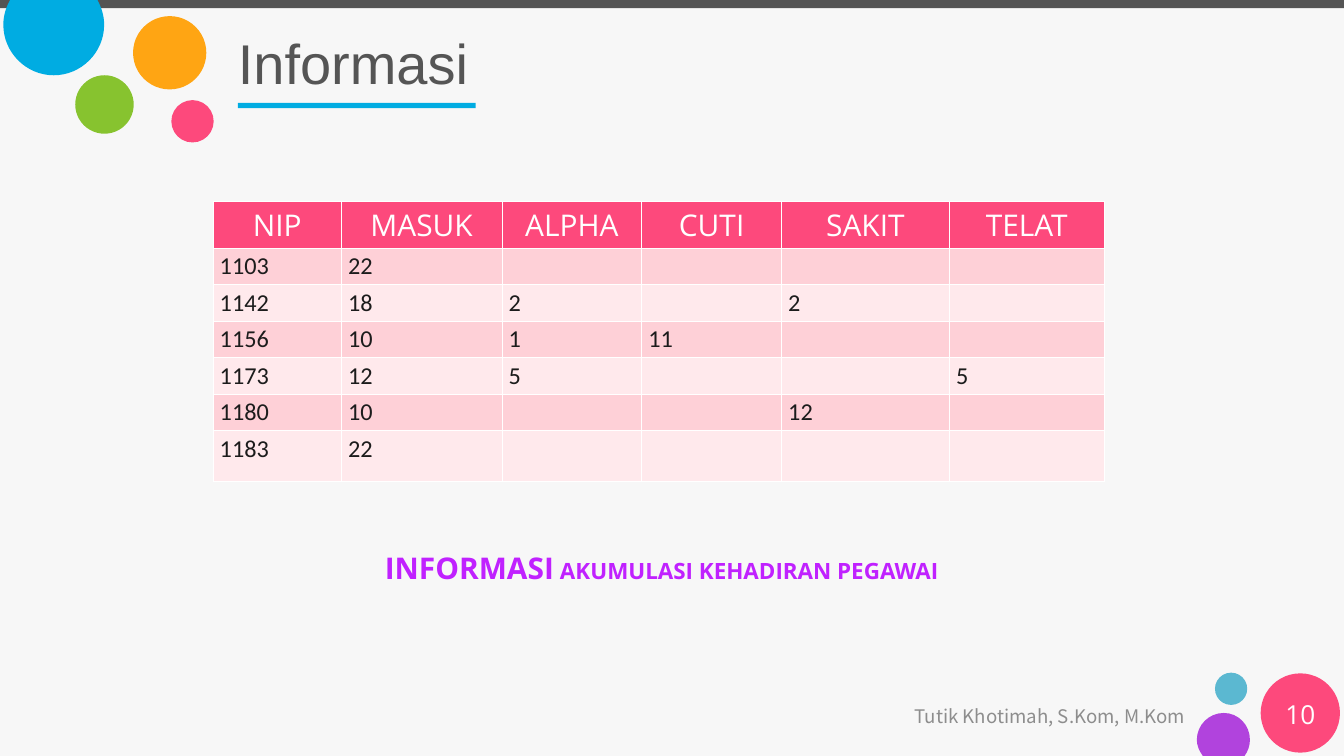
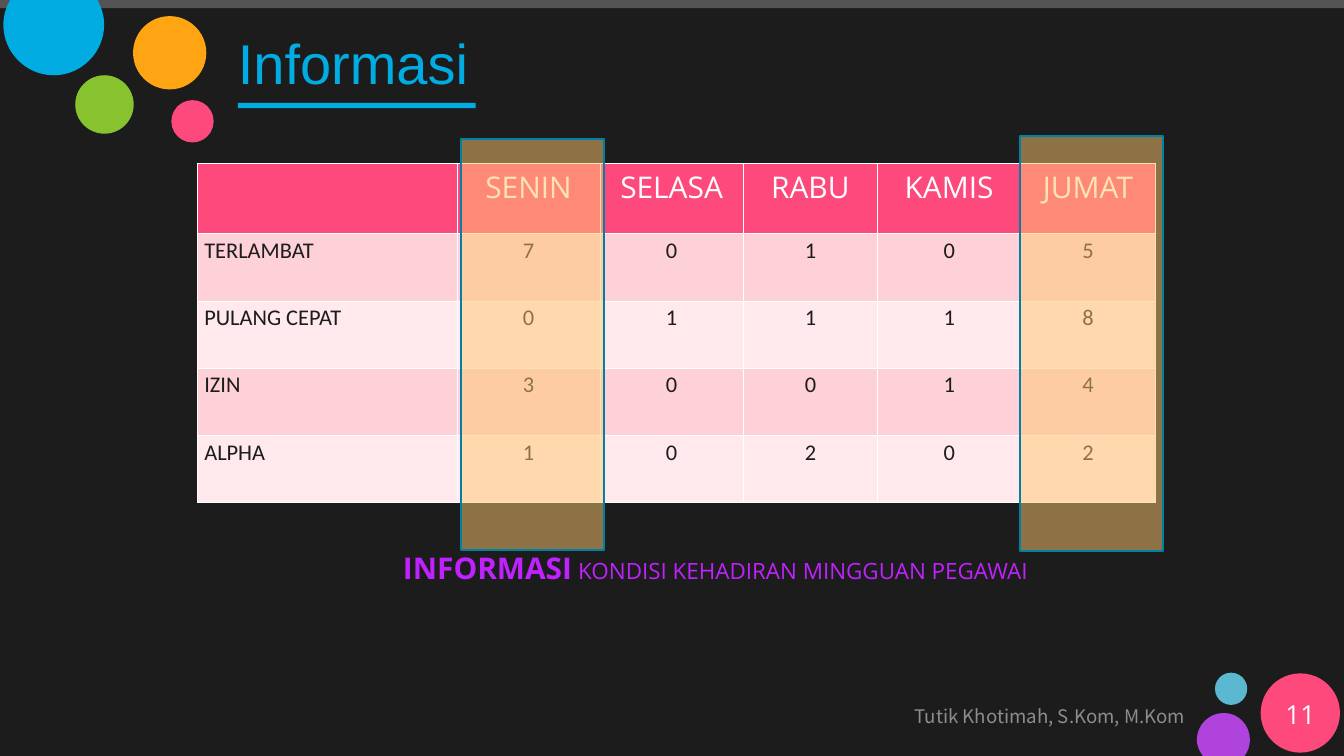
from dataclasses import dataclass
from itertools import chain

from lxml.etree import SubElement
from pptx import Presentation
from pptx.dml.color import RGBColor
from pptx.enum.shapes import MSO_SHAPE as SHAPE
from pptx.enum.text import MSO_ANCHOR as ANCHOR, MSO_AUTO_SIZE as AUTO, PP_ALIGN as ALIGN
from pptx.oxml.ns import qn
from pptx.util import Inches, Pt


@dataclass(frozen=True)
class Theme:
    """Colours, fonts and type sizes of the deck."""
    width: float = 20
    height: float = 11.25
    light: str = "F7F7F7"
    dark: str = "1C1C1C"
    bar: str = "545454"
    title_gray: str = "555555"
    footer_gray: str = "8D8D8D"
    blue: str = "00ACE2"
    pink: str = "FD497C"
    green: str = "87C32F"
    orange: str = "FFA513"
    teal: str = "5BB8D1"
    violet: str = "B143DD"
    purple: str = "C021FF"
    white: str = "FFFFFF"
    bands: tuple = ("FED0D7", "FFE9EC")
    mark: str = "FFC971"
    mark_line: str = "007FA7"
    title_font: str = "Arial"
    head_font: str = "Open Sans"
    cell_font: str = "Calibri"
    footer_font: str = "Noto Sans CJK KR"
    title_size: int = 60
    head_size: int = 32
    number_size: int = 28
    caption_size: int = 24
    footer_size: int = 20


T = Theme()

TOP_CIRCLE = (
    ((0.15, 0),),
    ((1.45, 0),),
    ((1.51, 0.11), (1.55, 0.23), (1.55, 0.37)),
    ((1.55, 0.78), (1.21, 1.12), (0.8, 1.12)),
    ((0.39, 1.12), (0.05, 0.78), (0.05, 0.37)),
    ((0.05, 0.23), (0.09, 0.11), (0.15, 0)),
)
BOTTOM_CIRCLE = (
    ((18.21, 10.61),),
    ((18.43, 10.61), (18.6, 10.79), (18.6, 11.01)),
    ((18.6, 11.1), (18.57, 11.18), (18.52, 11.25)),
    ((17.9, 11.25),),
    ((17.85, 11.18), (17.81, 11.1), (17.81, 11.01)),
    ((17.81, 10.79), (17.99, 10.61), (18.21, 10.61)),
)


def rgb(color):
    """Turn a hex string into a colour."""
    return RGBColor.from_string(color)


def box(left, top, width, height):
    """Give a place and size as lengths."""
    return [Inches(v) for v in (left, top, width, height)]


def add_run(p, text, font, size, color, bold=False):
    """Add one formatted run to a paragraph."""
    r = p.add_run()
    r.text = text
    r.font.name = font
    r.font.size = Pt(size)
    r.font.bold = bold
    r.font.color.rgb = rgb(color)


def paint(s, color):
    """Give a shape a plain fill without line or shadow."""
    s.shadow.inherit = False
    s.fill.solid()
    s.fill.fore_color.rgb = rgb(color)
    s.line.fill.background()


def add_block(slide, kind, place, color):
    """Add a plain preset shape."""
    s = slide.shapes.add_shape(kind, *box(*place))
    paint(s, color)
    return s


def add_outline(slide, parts, color):
    """Add a closed outline of lines (one point) and curves (three points)."""
    points = [(Inches(x), Inches(y)) for x, y in chain(*parts)]
    builder = slide.shapes.build_freeform(*points[0])
    builder.add_line_segments(points[1:])
    s = builder.convert_to_shape()
    lines = iter(list(s._element.iter(qn("a:lnTo"))))
    for part in parts[1:]:
        steps = [next(lines) for _ in part]
        if len(steps) == 3:
            curve = steps[0].makeelement(qn("a:cubicBezTo"))
            steps[0].addprevious(curve)
            for step in steps:
                curve.append(step[0])
                step.getparent().remove(step)
    paint(s, color)


def set_frame(tf, anchor=ANCHOR.MIDDLE, inset_x=0.18, inset_y=0.09):
    """Set wrapping, anchor and insets, and return the first paragraph."""
    tf.word_wrap = True
    tf.auto_size = AUTO.NONE
    tf.vertical_anchor = anchor
    tf.margin_left = tf.margin_right = Inches(inset_x)
    tf.margin_top = tf.margin_bottom = Inches(inset_y)
    return tf.paragraphs[0]


def add_label(slide, place, text, align, font, size, color):
    """Add a one-line text box."""
    p = set_frame(slide.shapes.add_textbox(*box(*place)).text_frame)
    p.alignment = align
    add_run(p, text, font, size, color)


def add_decor(slide):
    """Draw the bar, circles and title rule, and hand them to the layout."""
    add_block(slide, SHAPE.RECTANGLE, (0, 0, T.width, 0.12), T.bar)
    add_outline(slide, TOP_CIRCLE, T.blue)
    add_outline(slide, BOTTOM_CIRCLE, T.violet)
    for left, top, size, color in (
        (2.55, 1.49, 0.63, T.pink),
        (1.12, 1.12, 0.87, T.green),
        (1.98, 0.24, 1.09, T.orange),
        (18.08, 10.01, 0.48, T.teal),
        (18.76, 10.02, 1.18, T.pink),
    ):
        add_block(slide, SHAPE.OVAL, (left, top, size, size), color)
    add_block(slide, SHAPE.RECTANGLE, (3.54, 1.53, 3.54, 0.08), T.blue)
    for s in list(slide.shapes):
        if not s.is_placeholder:
            slide.slide_layout.shapes._spTree.append(s._element)


def add_slide(prs, title, number, back, title_color):
    """Add a slide with background, title and footer."""
    slide = prs.slides.add_slide(prs.slide_layouts[5])
    if len(prs.slides) == 1:
        add_decor(slide)
    slide.background.fill.solid()
    slide.background.fill.fore_color.rgb = rgb(back)
    s = slide.shapes.title
    s.left, s.top, s.width, s.height = box(3.36, 0.27, 15.69, 1.32)
    p = set_frame(s.text_frame)
    p.alignment = ALIGN.LEFT
    add_run(p, title, T.title_font, T.title_size, title_color)
    add_label(slide, (11.49, 10.35, 6.33, 0.6), "Tutik Khotimah, S.Kom, M.Kom",
              ALIGN.RIGHT, T.footer_font, T.footer_size, T.footer_gray)
    add_label(slide, (18.76, 10.32, 1.18, 0.6), str(number),
              ALIGN.CENTER, T.head_font, T.number_size, T.white)
    return slide


def add_caption(slide, place, lead, rest, bold):
    """Add the caption with its larger lead word."""
    tf = slide.shapes.add_textbox(*box(*place)).text_frame
    p = set_frame(tf, ANCHOR.TOP, 0.1, 0.05)
    tf.word_wrap = False
    tf.auto_size = AUTO.SHAPE_TO_FIT_TEXT
    p.alignment = ALIGN.CENTER
    add_run(p, lead, T.head_font, T.head_size, T.purple, True)
    add_run(p, " " + rest, T.head_font, T.caption_size, T.purple, bold)


def set_borders(cell):
    """Draw thin white borders around a cell."""
    tc_pr = cell._tc.get_or_add_tcPr()
    for side in "LRTB":
        ln = SubElement(tc_pr, qn("a:ln" + side), w=str(Pt(1)))
        SubElement(SubElement(ln, qn("a:solidFill")), qn("a:srgbClr"), val=T.white)


def add_grid(slide, left, top, widths, heights, rows, size, align):
    """Add a table with a pink header and banded rows."""
    place = box(left, top, sum(widths), sum(heights))
    table = slide.shapes.add_table(len(rows), len(widths), *place).table
    table.first_row = table.horz_banding = False
    for column, width in zip(table.columns, widths):
        column.width = Inches(width)
    for i, (height, values) in enumerate(zip(heights, rows)):
        table.rows[i].height = Inches(height)
        head = i == 0
        for j, text in enumerate(values):
            cell = table.cell(i, j)
            set_borders(cell)
            cell.fill.solid()
            cell.fill.fore_color.rgb = rgb(T.pink if head else T.bands[(i - 1) % 2])
            if not text:
                continue
            p = cell.text_frame.paragraphs[0]
            if head:
                p.alignment = ALIGN.CENTER
                add_run(p, text, T.head_font, T.head_size, T.white)
            else:
                p.alignment = align if j else ALIGN.LEFT
                add_run(p, text, T.cell_font, size, T.dark)


def add_highlight(slide, place):
    """Add a half-transparent frame over a table column."""
    s = add_block(slide, SHAPE.RECTANGLE, place, T.mark)
    color = s.fill._xPr.find(qn("a:solidFill")).find(qn("a:srgbClr"))
    SubElement(color, qn("a:alpha"), val="50000")
    s.line.color.rgb = rgb(T.mark_line)
    s.line.width = Pt(2)


def build_totals(prs):
    """Build the slide with attendance totals per employee."""
    slide = add_slide(prs, "Informasi", 10, T.light, T.title_gray)
    rows = [
        ("NIP", "MASUK", "ALPHA", "CUTI", "SAKIT", "TELAT"),
        ("1103", "22", "", "", "", ""),
        ("1142", "18", "2", "", "2", ""),
        ("1156", "10", "1", "11", "", ""),
        ("1173", "12", "5", "", "", "5"),
        ("1180", "10", "", "", "12", ""),
        ("1183", "22", "", "", "", ""),
    ]
    add_grid(slide, 3.17, 2.99, (1.91, 2.39, 2.08, 2.08, 2.5, 2.3),
             [0.4] + [0.53] * 5 + [0.76], rows, 26, ALIGN.LEFT)
    add_caption(slide, (5.18, 8.13, 9.33, 0.71), "INFORMASI",
                "AKUMULASI KEHADIRAN PEGAWAI", True)


def build_week(prs):
    """Build the slide with attendance per weekday."""
    slide = add_slide(prs, "Informasi", 11, T.dark, T.blue)
    add_caption(slide, (5.18, 8.13, 10.93, 1.05), "INFORMASI",
                "KONDISI KEHADIRAN MINGGUAN PEGAWAI", False)
    rows = [
        ("", "SENIN", "SELASA", "RABU", "KAMIS", "JUMAT"),
        ("TERLAMBAT", "7", "0", "1", "0", "5"),
        ("PULANG CEPAT", "0", "1", "1", "1", "8"),
        ("IZIN", "3", "0", "0", "1", "4"),
        ("ALPHA", "1", "0", "2", "0", "2"),
    ]
    add_grid(slide, 2.94, 2.43, (3.86, 2.13, 2.13, 2, 2.13, 2),
             [1.05] + [1] * 4, rows, 24, ALIGN.CENTER)
    add_highlight(slide, (6.86, 2.07, 2.13, 6.12))
    add_highlight(slide, (15.18, 2.03, 2.13, 6.17))


def main():
    """Build and save the deck."""
    prs = Presentation()
    prs.slide_width, prs.slide_height = Inches(T.width), Inches(T.height)
    build_totals(prs)
    build_week(prs)
    prs.save("out.pptx")


if __name__ == "__main__":
    main()
